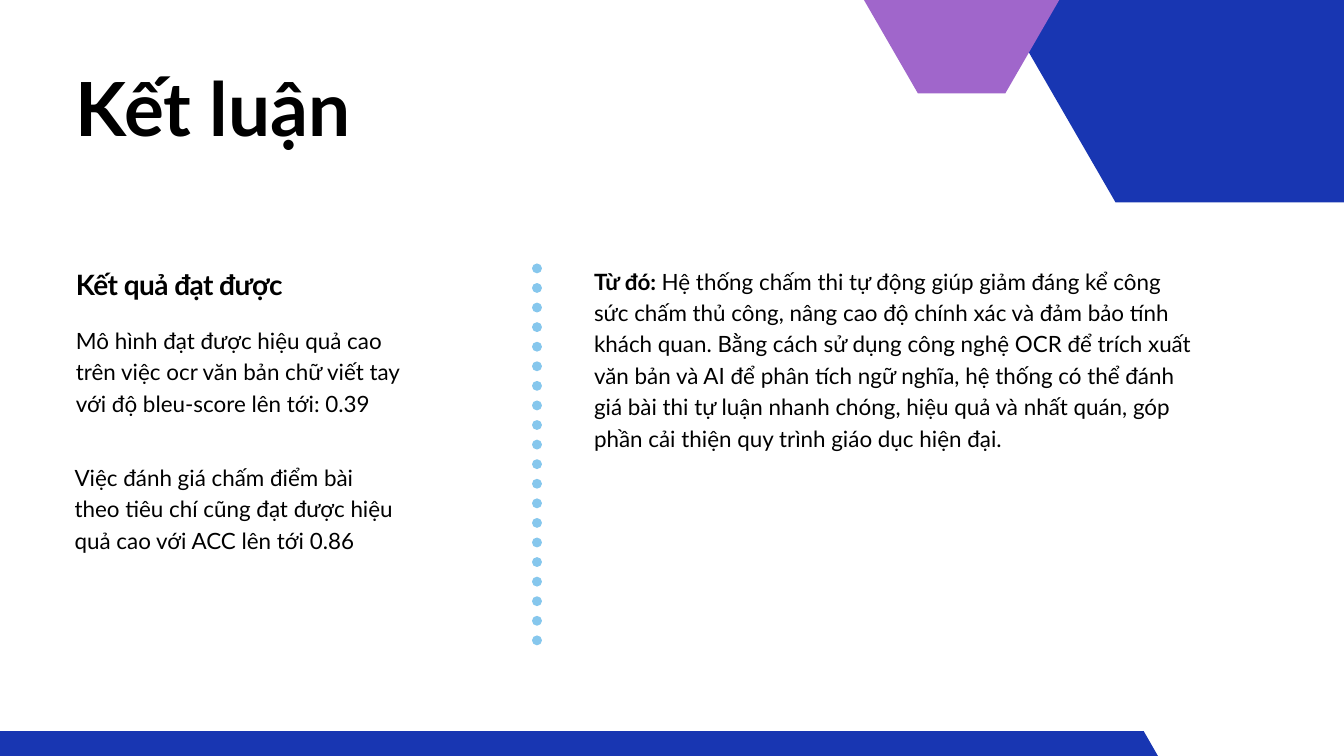
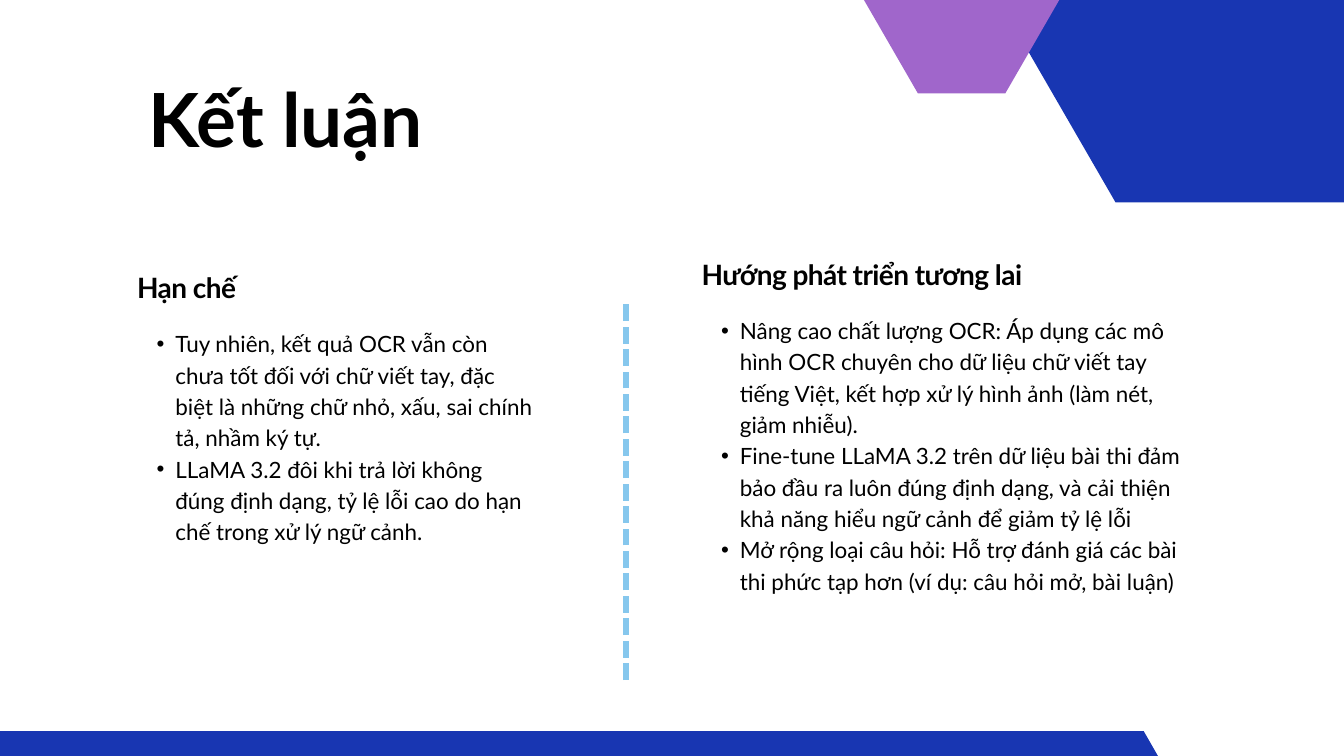
from lxml.etree import SubElement
from pptx import Presentation
from pptx.dml.color import RGBColor
from pptx.enum.dml import MSO_LINE_DASH_STYLE as DashStyle
from pptx.enum.shapes import MSO_CONNECTOR_TYPE as ConnectorType
from pptx.enum.text import MSO_AUTO_SIZE as AutoSize
from pptx.oxml.ns import qn
from pptx.util import Inches, Pt

COLORS = {"text": "000000", "blue": "1836B2", "purple": "A066CB", "divider": "86C7ED"}
FONT = "Lato"
BODY_STYLE = {"size": 24, "spacing": 33.6}
HEADING_STYLE = {"size": 30, "spacing": 39, "bold": True, "tracking": -60}
TITLE_STYLE = {"size": 80, "spacing": 88, "bold": True}
HEADING_HEIGHT = 0.53
BODY_OFFSET = 0.86
HEXAGONS = [
    (14.86, -3.01, 8.09, 6.02, 1.74, "blue"),
    (12.71, -1.9, 3.2, 3.29, 0.95, "purple"),
    (-1.8, 10.88, 19.43, 2.13, 0.61, "blue"),
]

RESULTS = "Mô hình đạt được hiệu quả cao trên việc ocr văn bản chữ viết tay với độ bleu-score lên tới: 0.39"
GRADING = "Việc đánh giá chấm điểm bài theo tiêu chí cũng đạt được hiệu quả cao với ACC lên tới 0.86"
SUMMARY = (
    "Hệ thống chấm thi tự động giúp giảm đáng kể công sức chấm thủ công, nâng cao độ chính xác "
    "và đảm bảo tính khách quan. Bằng cách sử dụng công nghệ OCR để trích xuất văn bản và AI để "
    "phân tích ngữ nghĩa, hệ thống có thể đánh giá bài thi tự luận nhanh chóng, hiệu quả và nhất "
    "quán, góp phần cải thiện quy trình giáo dục hiện đại."
)
LIMITATIONS = [
    "Tuy nhiên, kết quả OCR vẫn còn chưa tốt đối với chữ viết tay, đặc biệt là những chữ nhỏ, "
    "xấu, sai chính tả, nhầm ký tự.",
    "LLaMA 3.2 đôi khi trả lời không đúng định dạng, tỷ lệ lỗi cao do hạn chế trong xử lý ngữ cảnh.",
]
FUTURE_WORK = [
    "Nâng cao chất lượng OCR: Áp dụng các mô hình OCR chuyên cho dữ liệu chữ viết tay tiếng Việt, "
    "kết hợp xử lý hình ảnh (làm nét, giảm nhiễu).",
    "Fine-tune LLaMA 3.2 trên dữ liệu bài thi đảm bảo đầu ra luôn đúng định dạng, và cải thiện "
    "khả năng hiểu ngữ cảnh để giảm tỷ lệ lỗi",
    "Mở rộng loại câu hỏi: Hỗ trợ đánh giá các bài thi phức tạp hơn (ví dụ: câu hỏi mở, bài luận)",
]


def color(name):
    """Return the named palette colour."""
    return RGBColor.from_string(COLORS[name])


def add_hexagon(slide, left, top, width, height, inset, fill):
    """Draw a flat-topped hexagon whose corners are cut by inset."""
    right, bottom, middle = left + width, top + height, top + height / 2
    corners = [
        (left + inset, top), (right - inset, top), (right, middle),
        (right - inset, bottom), (left + inset, bottom), (left, middle),
    ]
    points = [(Inches(x), Inches(y)) for x, y in corners]
    builder = slide.shapes.build_freeform(*points[0])
    builder.add_line_segments(points[1:], close=True)
    shape = builder.convert_to_shape()
    shape.shadow.inherit = False
    shape.fill.solid()
    shape.fill.fore_color.rgb = color(fill)
    shape.line.fill.background()


def add_run(paragraph, text, size, bold=False, tracking=None):
    """Append one formatted run to a paragraph."""
    run = paragraph.add_run()
    run.text = text
    run.font.name = FONT
    run.font.size = Pt(size)
    run.font.bold = bold
    run.font.color.rgb = color("text")
    if tracking is not None:
        run._r.get_or_add_rPr().set("spc", str(tracking))


def set_bullet(paragraph):
    """Give a paragraph a hanging round bullet."""
    paragraph.level = 1
    properties = paragraph._p.get_or_add_pPr()
    properties.set("marL", str(Inches(0.57)))
    properties.set("indent", str(Inches(-0.28)))
    SubElement(properties, qn("a:buFont")).set("typeface", "Arial")
    SubElement(properties, qn("a:buChar")).set("char", "•")


def add_text(slide, box, paragraphs, size, spacing, bold=False, tracking=None, bulleted=False):
    """Add a text box; each paragraph is a list of (text, bold) runs or a plain string."""
    frame = slide.shapes.add_textbox(*map(Inches, box)).text_frame
    frame.margin_left = frame.margin_top = frame.margin_right = frame.margin_bottom = 0
    frame.word_wrap = True
    frame.auto_size = AutoSize.SHAPE_TO_FIT_TEXT
    for index, content in enumerate(paragraphs):
        paragraph = frame.add_paragraph() if index else frame.paragraphs[0]
        paragraph.line_spacing = Pt(spacing)
        if bulleted:
            set_bullet(paragraph)
        runs = [(content, bold)] if isinstance(content, str) else content
        for text, run_bold in runs:
            add_run(paragraph, text, size, run_bold, tracking)


def add_section(slide, left, top, width, body_height, heading, paragraphs, bulleted=False):
    """Add a heading with its body text below."""
    add_text(slide, (left, top, width, HEADING_HEIGHT), [heading], **HEADING_STYLE)
    body_box = (left, top + BODY_OFFSET, width, body_height)
    add_text(slide, body_box, paragraphs, **BODY_STYLE, bulleted=bulleted)


def add_divider(slide, x, bottom, top, width, dash, cap):
    """Draw a vertical dashed divider."""
    ends = map(Inches, (x, bottom, x, top))
    connector = slide.shapes.add_connector(ConnectorType.STRAIGHT, *ends)
    connector.line.color.rgb = color("divider")
    connector.line.width = Pt(width)
    connector.line.dash_style = dash
    connector.line._get_or_add_ln().set("cap", cap)
    SubElement(connector._element.spPr, qn("a:effectLst"))


def add_conclusion_slide(presentation, title_left, title_top):
    """Add a slide with the shared hexagons and title."""
    slide = presentation.slides.add_slide(presentation.slide_layouts[6])
    for hexagon in HEXAGONS:
        add_hexagon(slide, *hexagon)
    add_text(slide, (title_left, title_top, 5.17, 1.26), ["Kết luận"], **TITLE_STYLE)
    return slide


def build_results_slide(presentation):
    """Build the slide of achieved results."""
    slide = add_conclusion_slide(presentation, 1.13, 1.03)
    add_section(slide, 1.13, 3.94, 4.83, 1.81, "Kết quả đạt được", [RESULTS])
    add_divider(slide, 7.99, 9.53, 3.97, 10.5, DashStyle.ROUND_DOT, "rnd")
    add_text(slide, (1.11, 6.84, 4.83, 1.82), [GRADING], **BODY_STYLE)
    summary_runs = [("Từ đó: ", True), (SUMMARY, False)]
    add_text(slide, (8.84, 3.92, 9, 2.74), [summary_runs], **BODY_STYLE)


def build_outlook_slide(presentation):
    """Build the slide of limitations and future work."""
    slide = add_conclusion_slide(presentation, 2.21, 1.2)
    add_section(slide, 2.04, 3.99, 5.88, 3.64, "Hạn chế", LIMITATIONS, bulleted=True)
    add_section(slide, 10.44, 3.79, 7.4, 5.47, "Hướng phát triển tương lai", FUTURE_WORK, bulleted=True)
    add_divider(slide, 9.32, 10.12, 4.48, 6, DashStyle.SQUARE_DOT, "flat")


def main():
    """Build and save the presentation."""
    presentation = Presentation()
    presentation.slide_width = Inches(20)
    presentation.slide_height = Inches(11.25)
    build_results_slide(presentation)
    build_outlook_slide(presentation)
    presentation.save("out.pptx")


if __name__ == "__main__":
    main()
